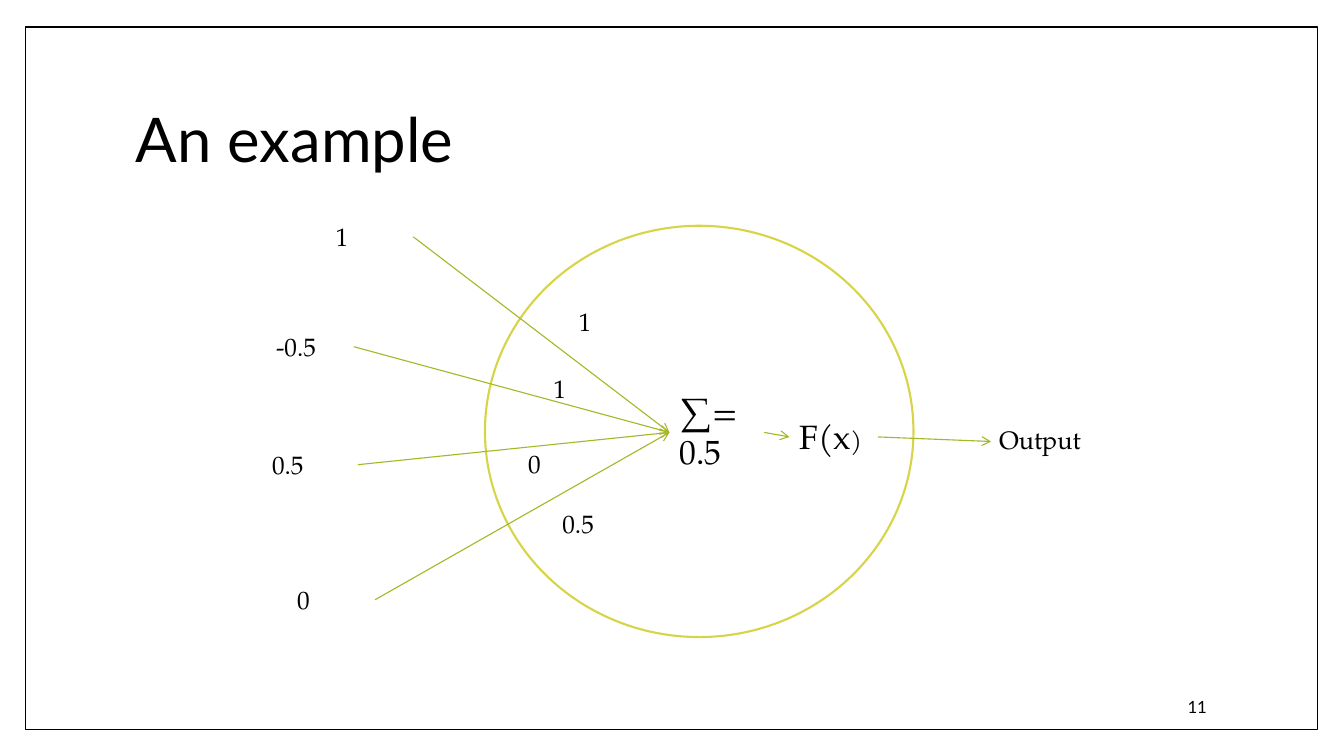
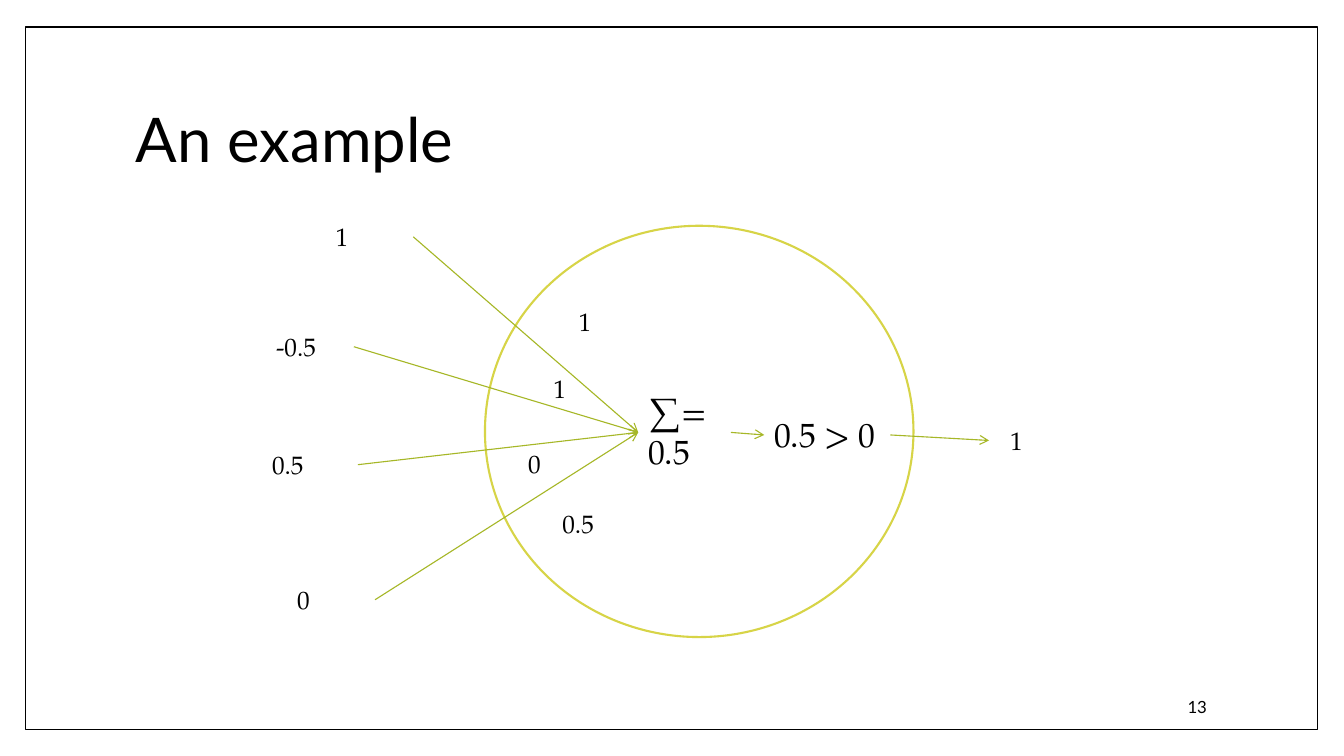
import pptx
import pptx.util
import pptx.dml.color
import pptx.enum.shapes
import pptx.enum.text
import pptx.oxml.ns
import lxml.etree

Inches, Pt = pptx.util.Inches, pptx.util.Pt
SHAPE = pptx.enum.shapes.MSO_SHAPE
ALIGN = pptx.enum.text.PP_ALIGN
ANCHOR = pptx.enum.text.MSO_ANCHOR
FIT = pptx.enum.text.MSO_AUTO_SIZE
qn = pptx.oxml.ns.qn

# Shared style
hexes = {"paper": "FFFFFF", "ink": "000000", "ring": "D7D447", "arrow": "A6B727"}
color = {k: pptx.dml.color.RGBColor.from_string(v) for k, v in hexes.items()}
SANS, SERIF = "Lato", "TeX Gyre Pagella"


def label(slide, text, box, size=18, font=SERIF):
    shape = slide.shapes.add_textbox(*map(Inches, box))
    frame = shape.text_frame
    frame.word_wrap = True
    frame.auto_size = FIT.SHAPE_TO_FIT_TEXT if font == SERIF else FIT.NONE
    frame.vertical_anchor = ANCHOR.TOP if font == SERIF else ANCHOR.MIDDLE
    para = frame.paragraphs[0]
    para.text = text
    para.font.size, para.font.name = Pt(size), font
    para.font.color.rgb = color["ink"]
    return para


def arrow(slide, start, end):
    line = slide.shapes.add_connector(
        pptx.enum.shapes.MSO_CONNECTOR.STRAIGHT, *map(Inches, start + end))
    line.line.color.rgb = color["arrow"]
    line.line.width = Pt(0.79)
    tip = lxml.etree.SubElement(line.line._get_or_add_ln(), qn("a:tailEnd"))
    tip.set("type", "arrow")
    lxml.etree.SubElement(line._element.spPr, qn("a:effectLst"))


# Neuron parts common to both slides: text, box
weights = [("1", 5.64, 2.99), ("1", 5.39, 3.65), ("0", 5.14, 4.4), ("0.5", 5.48, 4.99)]
inputs = [("1", 3.23, 2.15, 0.87), ("-0.5", 2.64, 3.24, 0.87),
          ("0.5", 2.6, 4.41, 0.95), ("0", 2.85, 5.75, 0.87)]
outlines = [(SHAPE.RECTANGLE, (0.25, 0.27, 12.82, 6.97), "ink", 1),
            (SHAPE.OVAL, (4.81, 2.24, 4.25, 4.08), "ring", 1.5)]

# What differs: page, sum box, step (text, small end, box), result, last arrow tip
pages = [
    ("11", (6.64, 3.83, 0.94, 0.91), ("F(x", ")", (7.83, 4.08, 0.88, 0.51)),
     ("Output", (9.81, 4.16, 1.25, 0.4)), (9.83, 4.38)),
    ("13", (6.33, 3.83, 0.92, 0.91), ("0.5 > 0", "", (7.58, 4.06, 1.25, 0.51)),
     ("1", (9.92, 4.17, 1.25, 0.4)), (9.81, 4.37)),
]

deck = pptx.Presentation()
deck.slide_width, deck.slide_height = Inches(13.33), Inches(7.5)

for page, total, (step, small, place), result, tip in pages:
    slide = deck.slides.add_slide(deck.slide_layouts[6])

    # Frame and neuron body
    for kind, box, ink, width in outlines:
        shape = slide.shapes.add_shape(kind, *map(Inches, box))
        shape.shadow.inherit = False
        shape.fill.solid()
        shape.fill.fore_color.rgb = color["paper"]
        shape.line.color.rgb = color[ink]
        shape.line.width = Pt(width)

    # Weights, sum, step and result
    for text, left, top in weights:
        label(slide, text, (left, top, 0.67, 0.42))
    label(slide, "∑= 0.5", total, 24)
    para = label(slide, step, place, 24)
    if small:
        run = para.add_run()
        run.text = small
        run.font.size = Pt(18)
    label(slide, *result)

    # Inputs, each with an arrow to the sum
    hub = (total[0], 4.29)
    for text, left, top, width in inputs:
        label(slide, text, (left, top, width, 0.4))
        arrow(slide, (left + width, top + 0.2), hub)

    # Flow from the sum to the result
    mid = place[1] + place[3] / 2
    arrow(slide, (total[0] + total[2], 4.29), (place[0], mid))
    arrow(slide, (place[0] + place[2], mid), tip)

    # Title and page number
    label(slide, "An example", (1.25, 0.67, 10.8, 1.48), 44, SANS).line_spacing = 0.9
    label(slide, page, (10.2, 6.81, 1.87, 0.4), 12, SANS).alignment = ALIGN.RIGHT

deck.save("out.pptx")
